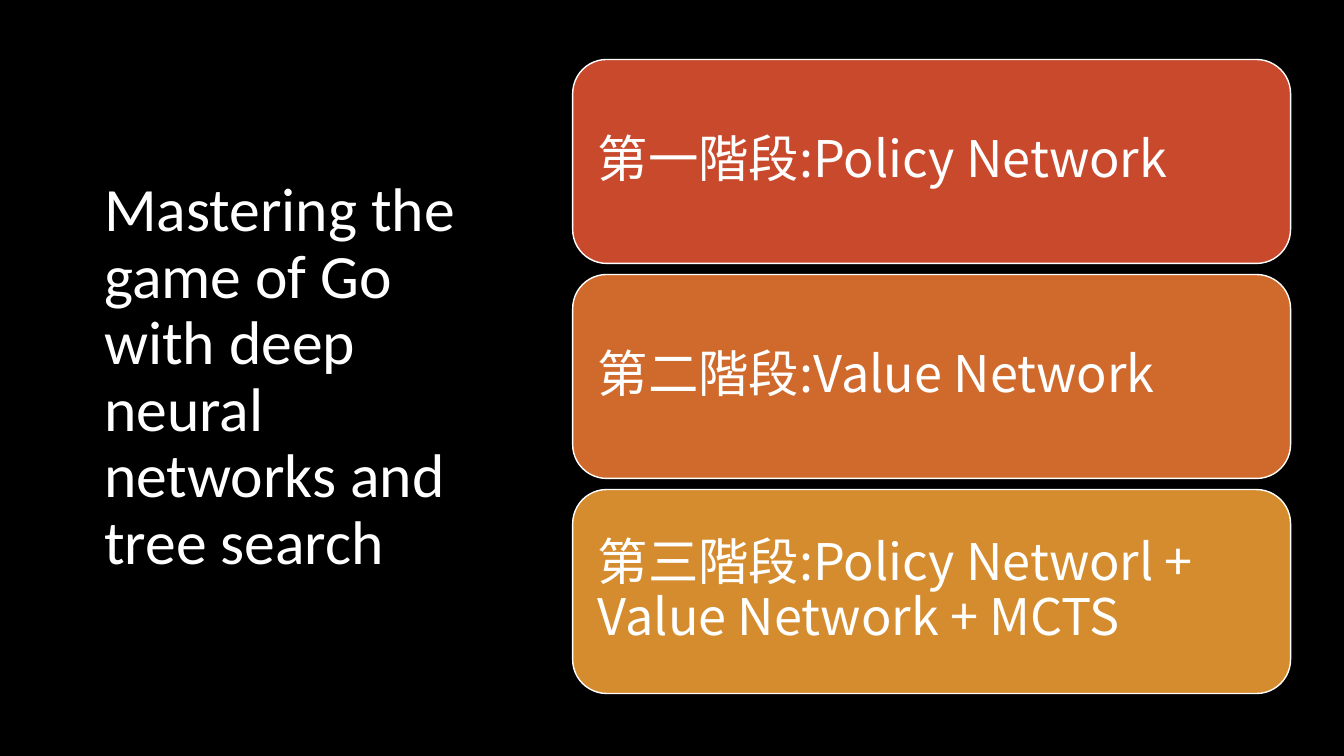
import pptx
import pptx.util
import pptx.dml.color
import pptx.enum.shapes
import pptx.enum.text
import pptx.oxml.ns
import lxml.etree

WIDTH, HEIGHT = 13.33, 7.5
WHITE = "FFFFFF"
STAGES = [
    ("第一階段:Policy Network", "C9492C"),
    ("第二階段:Value Network", "D0692C"),
    ("第三階段:Policy Networl + Value Network + MCTS", "D58C2E"),
]


def color(value):
    """Turn a hex string into a colour."""
    return pptx.dml.color.RGBColor.from_string(value)


def place(shape, box):
    """Move a shape to a box given in inches."""
    shape.left, shape.top, shape.width, shape.height = map(pptx.util.Inches, box)


def write(shape, text, font_name, size):
    """Write one left-aligned, vertically centred white paragraph."""
    frame = shape.text_frame
    frame.word_wrap = True
    frame.auto_size = pptx.enum.text.MSO_AUTO_SIZE.NONE
    frame.vertical_anchor = pptx.enum.text.MSO_ANCHOR.MIDDLE
    paragraph = frame.paragraphs[0]
    paragraph.alignment = pptx.enum.text.PP_ALIGN.LEFT
    paragraph.line_spacing = 0.9
    run = paragraph.add_run()
    run.text = text
    run.font.name = font_name
    run.font.size = pptx.util.Pt(size)
    run.font.color.rgb = color(WHITE)
    east_asian = lxml.etree.SubElement(run.font._element, pptx.oxml.ns.qn("a:ea"))
    east_asian.set("typeface", font_name)


def add_title(slide, box):
    """Fill the title placeholder within the box."""
    title = slide.shapes.title
    place(title, box)
    write(title, "Mastering the game of Go with deep neural networks and tree search",
          "Calibri", 44)


def add_stages(slide, box, gap):
    """Stack the stage cards evenly in the box."""
    left, top, width, height = box
    card_height = (height - gap * (len(STAGES) - 1)) / len(STAGES)
    for index, (text, fill) in enumerate(STAGES):
        card = slide.shapes.add_shape(
            pptx.enum.shapes.MSO_SHAPE.ROUNDED_RECTANGLE, 0, 0, 0, 0)
        place(card, (left, top + index * (card_height + gap), width, card_height))
        card.shadow.inherit = False
        card.fill.solid()
        card.fill.fore_color.rgb = color(fill)
        card.line.color.rgb = color(WHITE)
        card.line.width = pptx.util.Pt(1)
        frame = card.text_frame
        frame.margin_left = frame.margin_right = pptx.util.Inches(0.15)
        frame.margin_top = frame.margin_bottom = pptx.util.Inches(0.15)
        write(card, text, "Noto Sans CJK SC", 36)


def main():
    """Build and save the slide."""
    presentation = pptx.Presentation()
    presentation.slide_width = pptx.util.Inches(WIDTH)
    presentation.slide_height = pptx.util.Inches(HEIGHT)
    slide = presentation.slides.add_slide(presentation.slide_layouts[5])
    slide.background.fill.solid()
    slide.background.fill.fore_color.rgb = color("000000")
    add_title(slide, (0.07 * WIDTH, 0.15 * HEIGHT, 0.28 * WIDTH, 0.7 * HEIGHT))
    add_stages(slide, (5.68, 0.59, 7.12, 6.29), 0.11)
    presentation.save("out.pptx")


if __name__ == "__main__":
    main()
